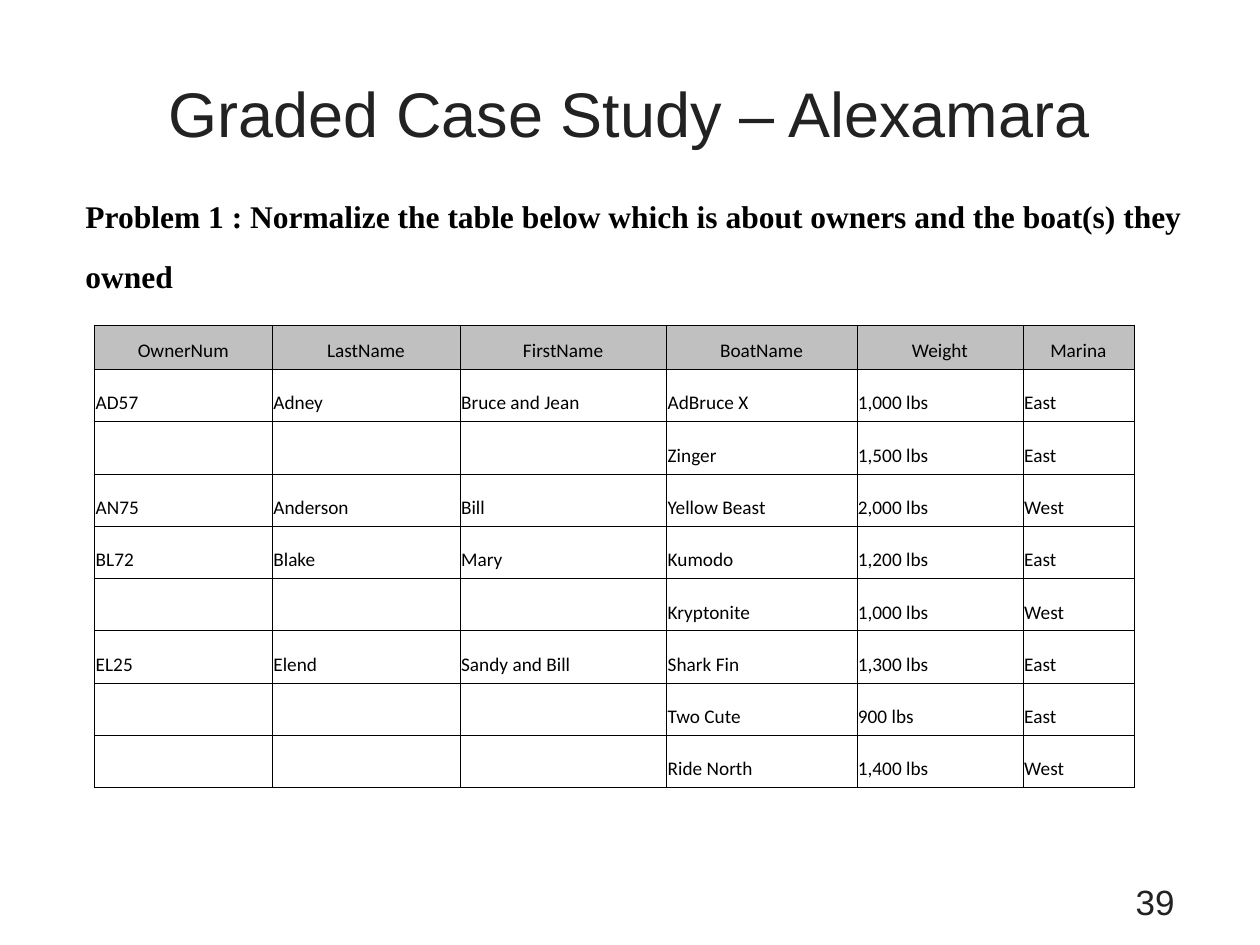
from dataclasses import dataclass

from lxml.etree import SubElement
from pptx import Presentation
from pptx.dml.color import RGBColor as RGB
from pptx.enum.text import MSO_ANCHOR as Anchor, PP_ALIGN as Align
from pptx.oxml.ns import qn
from pptx.util import Inches, Pt


@dataclass(frozen=True)
class Style:
    font: str
    size: float
    color: RGB
    bold: bool = False


@dataclass(frozen=True)
class Theme:
    title: Style = Style("Arial", 36, RGB(0x22, 0x22, 0x22))
    number: Style = Style("Arial", 20, RGB(0x22, 0x22, 0x22))
    problem: Style = Style("Times New Roman", 18, RGB(0, 0, 0), True)
    cell: Style = Style("Calibri", 11, RGB(0, 0, 0))
    header_fill: RGB = RGB(0xC0, 0xC0, 0xC0)
    border: str = "000000"
    border_width: float = 0.23
    line_spacing: float = 1.06
    space_before: float = 11.2


@dataclass(frozen=True)
class Label:
    lines: tuple[str, ...]
    left: float
    top: float
    width: float
    height: float
    style: Style
    align: Align
    anchor: Anchor = Anchor.TOP
    hanging: float = 0


THEME = Theme()

LABELS = (
    Label(("Graded Case Study – Alexamara",), 0.58, 0.25, 8.83, 1.25,
          THEME.title, Align.CENTER, Anchor.MIDDLE),
    Label(("39",), 7.17, 6.92, 2.25, 0.42, THEME.number, Align.RIGHT),
    Label(("Problem 1 : Normalize the table below which is about owners "
           "and the boat(s) they", "owned"), 0.58, 1.5, 9.42, 0.86,
          THEME.problem, Align.LEFT, hanging=1.63),
)

COLUMNS = (1.41, 1.49, 1.64, 1.51, 1.32, 0.88)
HEADER_HEIGHT = 0.35
TABLE_HEIGHT = 3.67
NO_OWNER = ("", "", "")
ROWS = (
    ("OwnerNum", "LastName", "FirstName", "BoatName", "Weight", "Marina"),
    ("AD57", "Adney", "Bruce and Jean", "AdBruce X", "1,000 lbs", "East"),
    (*NO_OWNER, "Zinger", "1,500 lbs", "East"),
    ("AN75", "Anderson", "Bill", "Yellow Beast", "2,000 lbs", "West"),
    ("BL72", "Blake", "Mary", "Kumodo", "1,200 lbs", "East"),
    (*NO_OWNER, "Kryptonite", "1,000 lbs", "West"),
    ("EL25", "Elend", "Sandy and Bill", "Shark Fin", "1,300 lbs", "East"),
    (*NO_OWNER, "Two Cute", "900 lbs", "East"),
    (*NO_OWNER, "Ride North", "1,400 lbs", "West"),
)


def add_run(p, text: str, style: Style) -> None:
    r = p.add_run()
    r.text = text
    r.font.name = style.font
    r.font.size = Pt(style.size)
    r.font.bold = style.bold
    r.font.color.rgb = style.color


def add_label(s, label: Label) -> None:
    sp = s.shapes.add_textbox(Inches(label.left), Inches(label.top),
                              Inches(label.width), Inches(label.height))
    tf = sp.text_frame
    tf.word_wrap = True
    tf.vertical_anchor = label.anchor
    for i, line in enumerate(label.lines):
        p = tf.add_paragraph() if i else tf.paragraphs[0]
        p.alignment = label.align
        p.line_spacing = THEME.line_spacing
        if label.hanging:
            p.space_before = Pt(THEME.space_before)
            pPr = p._p.get_or_add_pPr()
            pPr.set("marL", str(Inches(label.hanging)))
            pPr.set("indent", str(-Inches(label.hanging)))
        add_run(p, line, label.style)


def add_borders(cell) -> None:
    tcPr = cell._tc.get_or_add_tcPr()
    for i, side in enumerate(("lnL", "lnR", "lnT", "lnB")):
        ln = SubElement(tcPr, qn(f"a:{side}"), w=str(Pt(THEME.border_width)))
        fill = SubElement(ln, qn("a:solidFill"))
        SubElement(fill, qn("a:srgbClr"), val=THEME.border)
        tcPr.insert(i, ln)


def fill_cell(cell, text: str, header: bool) -> None:
    cell.margin_left = cell.margin_right = Inches(0.01)
    cell.margin_top = cell.margin_bottom = Inches(0.05)
    cell.vertical_anchor = Anchor.BOTTOM
    if header:
        cell.fill.solid()
        cell.fill.fore_color.rgb = THEME.header_fill
    else:
        cell.fill.background()
    add_borders(cell)
    if text:
        p = cell.text_frame.paragraphs[0]
        p.alignment = Align.CENTER if header else Align.LEFT
        add_run(p, text, THEME.cell)


def add_boat_table(s) -> None:
    frame = s.shapes.add_table(len(ROWS), len(COLUMNS), Inches(0.75), Inches(2.58),
                               Inches(sum(COLUMNS)), Inches(TABLE_HEIGHT))
    table = frame.table
    table.first_row = table.horz_banding = False
    for column, width in zip(table.columns, COLUMNS):
        column.width = Inches(width)
    body_height = (TABLE_HEIGHT - HEADER_HEIGHT) / (len(ROWS) - 1)
    for i, values in enumerate(ROWS):
        table.rows[i].height = Inches(body_height if i else HEADER_HEIGHT)
        for j, text in enumerate(values):
            fill_cell(table.cell(i, j), text, header=i == 0)


prs = Presentation()
prs.slide_width, prs.slide_height = Inches(10), Inches(7.5)
s = prs.slides.add_slide(prs.slide_layouts[6])
for label in LABELS:
    add_label(s, label)
add_boat_table(s)
prs.save("out.pptx")
